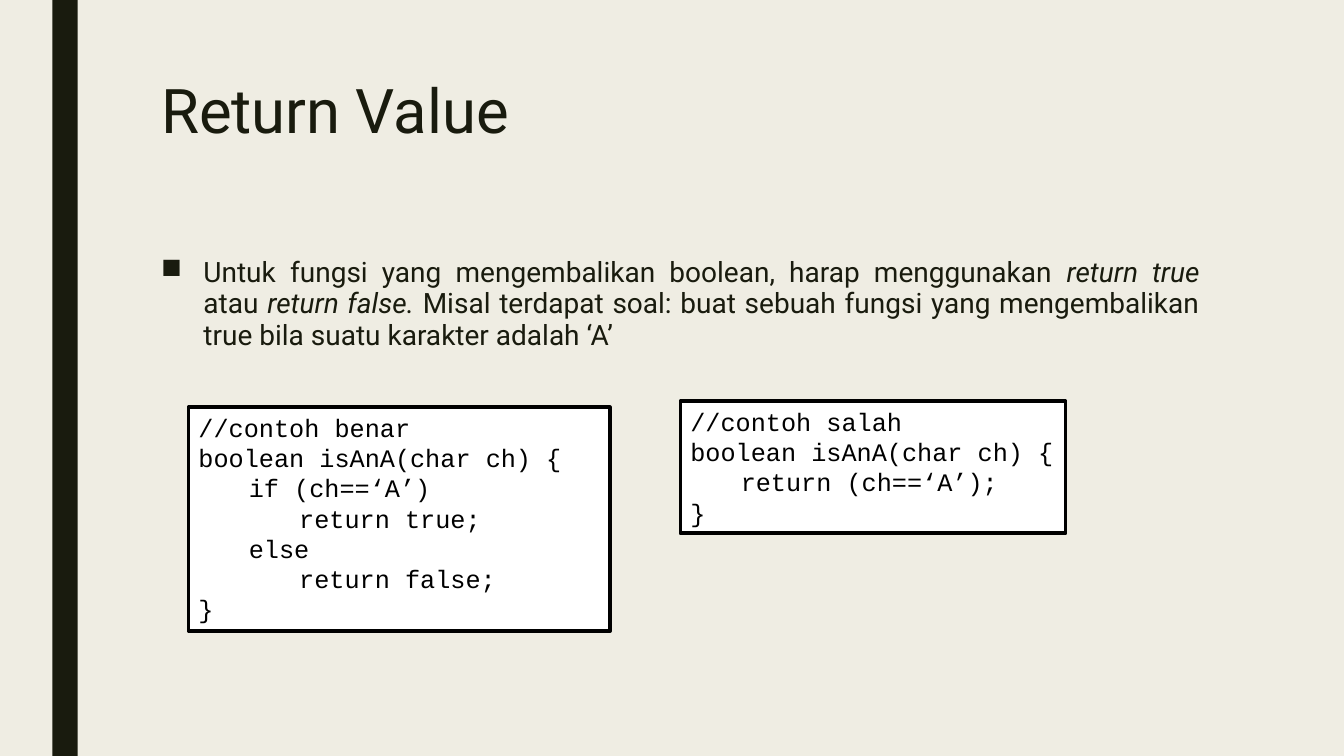
from lxml.etree import SubElement
from pptx import Presentation
from pptx.dml.color import RGBColor
from pptx.enum.shapes import MSO_SHAPE
from pptx.enum.text import MSO_ANCHOR, MSO_AUTO_SIZE, PP_ALIGN
from pptx.oxml.ns import qn
from pptx.util import Inches, Pt

COLORS = {"paper": "EFEDE3", "ink": "191B0E", "code": "000000", "panel": "FFFFFF"}
GRID = 0.25  # inches per column and per row
COLUMNS, ROWS = 53.33, 30

EXPLANATION = [
    ("Untuk fungsi yang mengembalikan boolean, harap menggunakan ", False),
    ("return true ", True),
    ("atau ", False),
    ("return false. ", True),
    ("Misal terdapat soal: buat sebuah fungsi yang mengembalikan true bila "
     "suatu karakter adalah ‘A’", False),
]
CORRECT_EXAMPLE = """//contoh benar
boolean isAnA(char ch) {
\tif (ch==‘A’)
\t\treturn true;
\telse
\t\treturn false;
}"""
WRONG_EXAMPLE = """//contoh salah
boolean isAnA(char ch) {
\treturn (ch==‘A’);
}"""


class CodeLesson:
    text_font = "Roboto"
    code_font = "Courier New"

    def __init__(self, deck):
        self.slide = deck.slides.add_slide(deck.slide_layouts[6])
        background = self.slide.background.fill
        background.solid()
        background.fore_color.rgb = self.color("paper")

    def color(self, name):
        return RGBColor.from_string(COLORS[name])

    def area(self, *cells):
        """Turn left, top, width and height in grid cells into lengths."""
        return [Inches(cell * GRID) for cell in cells]

    def style(self, paragraph, font, size, color):
        for run in paragraph.runs:
            run.font.name = font
            run.font.size = Pt(size)
            run.font.color.rgb = self.color(color)

    def panel(self, cells, fill):
        panel = self.slide.shapes.add_shape(MSO_SHAPE.RECTANGLE, *self.area(*cells))
        panel.shadow.inherit = False
        panel.fill.solid()
        panel.fill.fore_color.rgb = self.color(fill)
        panel.line.fill.background()
        return panel

    def text_paragraph(self, cells, line_spacing):
        frame = self.slide.shapes.add_textbox(*self.area(*cells)).text_frame
        frame.word_wrap = True
        paragraph = frame.paragraphs[0]
        paragraph.line_spacing = line_spacing
        return paragraph

    def title(self, cells, wording):
        heading = self.text_paragraph(cells, 0.89)
        heading.text = wording
        self.style(heading, self.text_font, 44, "ink")

    def bullet(self, cells, phrases):
        point = self.text_paragraph(cells, 0.94)
        point.alignment = PP_ALIGN.JUSTIFY
        point.space_before, point.space_after = Pt(10), Pt(2)
        for wording, italic in phrases:
            phrase = point.add_run()
            phrase.text = wording
            phrase.font.italic = italic
        self.style(point, self.text_font, 20, "ink")
        properties = point._p.get_or_add_pPr()
        properties.set("marL", str(Inches(0.42)))
        properties.set("indent", str(-Inches(0.42)))
        SubElement(properties, qn("a:buChar")).set("char", "■")

    def code(self, cells, listing):
        box = self.panel(cells, "panel")
        box.line.color.rgb = self.color("code")
        box.line.width = Pt(2.75)
        frame = box.text_frame
        frame.text = listing
        frame.word_wrap = False
        frame.auto_size = MSO_AUTO_SIZE.SHAPE_TO_FIT_TEXT
        frame.vertical_anchor = MSO_ANCHOR.TOP
        for line in frame.paragraphs:
            line.alignment = PP_ALIGN.LEFT
            self.style(line, self.code_font, 18, "code")


def main():
    deck = Presentation()
    deck.slide_width, deck.slide_height = Inches(COLUMNS * GRID), Inches(ROWS * GRID)
    lesson = CodeLesson(deck)
    lesson.panel((2.08, 0, 1, ROWS), "ink")
    lesson.title((6, 3, 42, 6.48), "Return Value")
    lesson.bullet((6, 10, 42, 15.68), EXPLANATION)
    lesson.code((7.48, 16.16, 16.72, 8.88), CORRECT_EXAMPLE)
    lesson.code((27, 15.92, 15.28, 5.24), WRONG_EXAMPLE)
    deck.save("out.pptx")


if __name__ == "__main__":
    main()
